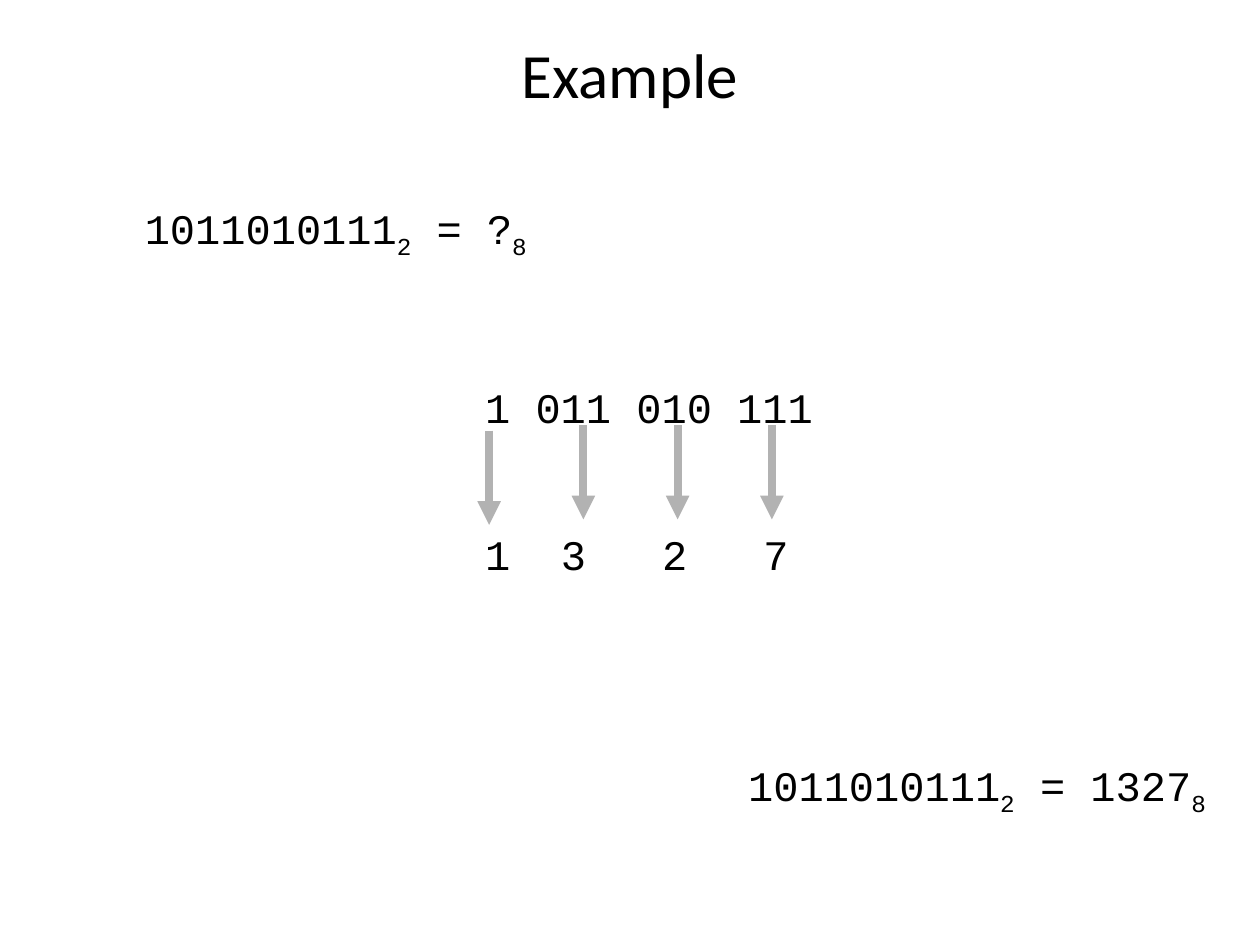
from dataclasses import dataclass

from lxml.etree import SubElement
from pptx import Presentation
from pptx.dml.color import RGBColor as Rgb
from pptx.enum.shapes import MSO_CONNECTOR as Connector
from pptx.enum.text import MSO_ANCHOR as Anchor, MSO_AUTO_SIZE as AutoSize, PP_ALIGN as Align
from pptx.oxml.ns import qn
from pptx.util import Cm, Pt


@dataclass(frozen=True)
class Theme:
    ink: Rgb = Rgb(0, 0, 0)
    arrow: Rgb = Rgb(0xB2, 0xB2, 0xB2)
    title_font: str = "Calibri"
    digit_font: str = "Courier New"
    title_size: Pt = Pt(36)
    digit_size: Pt = Pt(24)
    arrow_width: Pt = Pt(4.5)


def apply(target, values):
    for name, value in values.items():
        setattr(target, name, value)


class SlideBuilder:
    def __init__(self, slide, theme):
        self.slide = slide
        self.theme = theme

    def text_frame(self, box, **values):
        frame = self.slide.shapes.add_textbox(*map(Cm, box)).text_frame
        apply(frame, {"word_wrap": True, **values})
        return frame

    def digit_frame(self, box):
        return self.text_frame(box, auto_size=AutoSize.SHAPE_TO_FIT_TEXT,
                               margin_top=Cm(0.28), margin_bottom=0)

    def run(self, paragraph, text, font, size):
        run = paragraph.add_run()
        run.text = text
        apply(run.font, {"name": font, "size": size})
        run.font.color.rgb = self.theme.ink
        return run

    def digits(self, paragraph, text):
        return self.run(paragraph, text, self.theme.digit_font, self.theme.digit_size)

    def title(self, text, box):
        frame = self.text_frame(box, vertical_anchor=Anchor.MIDDLE)
        heading = frame.paragraphs[0]
        heading.alignment = Align.CENTER
        self.run(heading, text, self.theme.title_font, self.theme.title_size)

    def equation(self, binary, octal, box, align):
        """Write binary = octal, each with its base as a subscript."""
        line = self.digit_frame(box).paragraphs[0]
        line.alignment = align
        for text, base in ((binary, "2"), (f" = {octal}", "8")):
            self.digits(line, text)
            subscript = self.digits(line, base)
            subscript.font._element.set("baseline", "-25000")

    def grouping(self, groups, octal_digits, tab_stops, box):
        """Write the bit groups and, below them, one octal digit per group."""
        frame = self.digit_frame(box)
        self.digits(frame.paragraphs[0], " ".join(groups))
        octal_line = frame.add_paragraph()
        octal_line.space_before = Pt(55)
        tabs = SubElement(octal_line._p.get_or_add_pPr(), qn("a:tabLst"))
        for stop in tab_stops:
            SubElement(tabs, qn("a:tab"), pos=str(Cm(stop)), algn="l")
        self.digits(octal_line, "\t".join(octal_digits))

    def down_arrow(self, x, top, length):
        arrow = self.slide.shapes.add_connector(
            Connector.STRAIGHT, Cm(x), Cm(top), Cm(x), Cm(top + length))
        arrow.line.width = self.theme.arrow_width
        arrow.line.color.rgb = self.theme.arrow
        SubElement(arrow.line._get_or_add_ln(), qn("a:tailEnd"), type="triangle")
        SubElement(arrow._element.spPr, qn("a:effectLst"))


def main():
    deck = Presentation()
    apply(deck, {"slide_width": Cm(25.4), "slide_height": Cm(19.05)})
    builder = SlideBuilder(deck.slides.add_slide(deck.slide_layouts[6]), Theme())

    binary = "1011010111"
    groups = ("1", "011", "010", "111")
    octal_digits = [str(int(group, 2)) for group in groups]

    builder.title("Example", (1.9, 0.43, 21.6, 2.11))
    builder.equation(binary, "?", (0.84, 3.81, 11.86, 1.27), Align.CENTER)

    # Each octal digit stands under the middle bit of its group.
    character = 0.51
    tab_stops = [character * column for column in (3, 7, 11)]
    builder.grouping(groups, octal_digits, tab_stops, (9.53, 7.42, 11.86, 4.32))
    for index in range(len(groups)):
        top = 8.57 if index else 8.68
        builder.down_arrow(9.86 + 1.9 * index, top, 1.9)

    builder.equation(binary, "".join(octal_digits), (12.7, 15.04, 11.86, 1.27), Align.RIGHT)
    deck.save("out.pptx")


if __name__ == "__main__":
    main()
